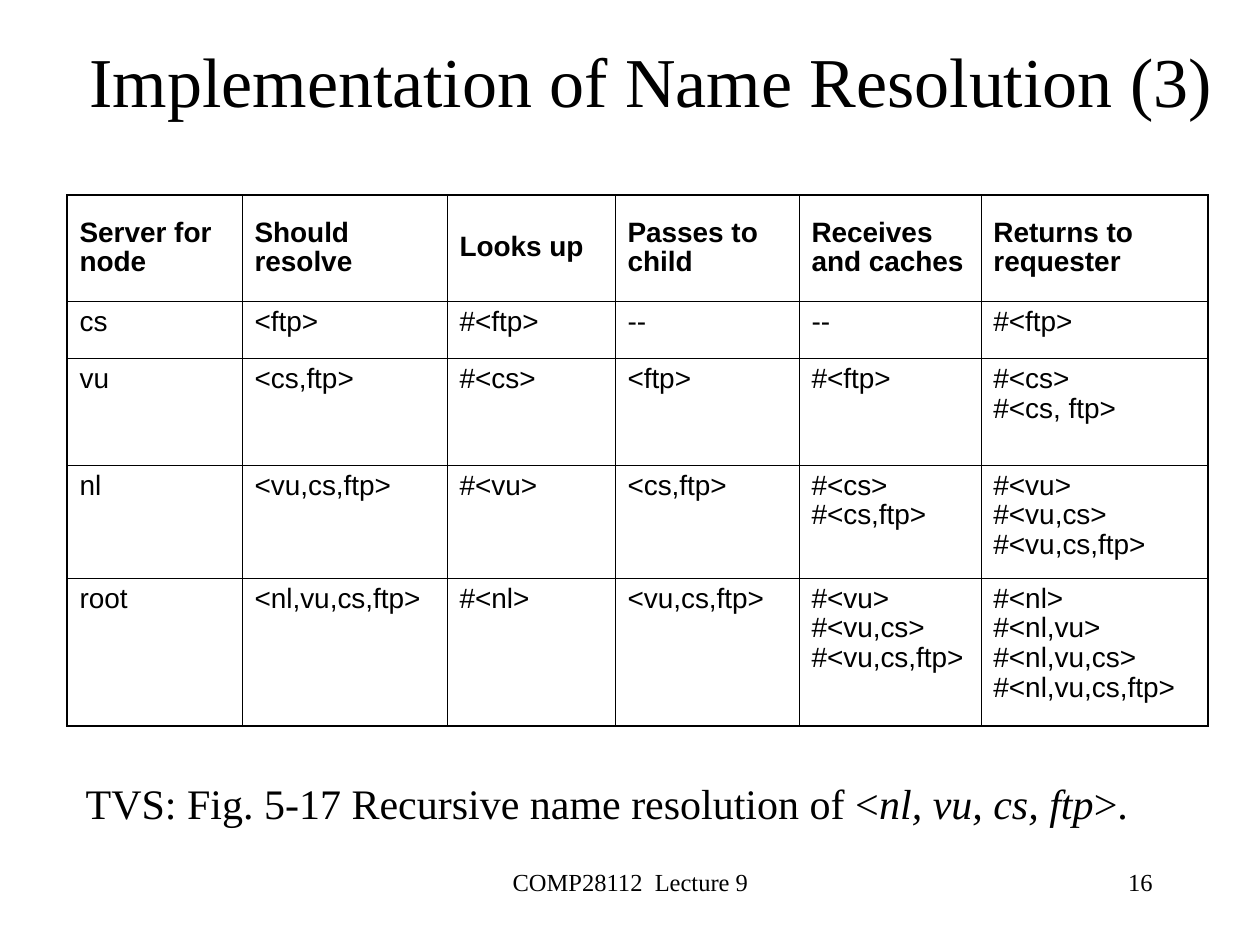
from lxml import etree
from pptx import Presentation
from pptx.dml.color import RGBColor
from pptx.enum.text import MSO_ANCHOR, MSO_AUTO_SIZE, PP_ALIGN
from pptx.oxml.ns import qn
from pptx.util import Pt

PX = 914400 // 126
BLACK = RGBColor(0, 0, 0)
SERIF, SANS = "Times New Roman", "Arial"
LEFT, CENTER, RIGHT = PP_ALIGN.LEFT, PP_ALIGN.CENTER, PP_ALIGN.RIGHT
TOP, MIDDLE = MSO_ANCHOR.TOP, MSO_ANCHOR.MIDDLE
NO_AUTOFIT = MSO_AUTO_SIZE.NONE
OUTER, INNER = Pt(1.08), Pt(0.45)


def add_run(paragraph, text, size, font=SERIF, bold=False, italic=False):
    """Add one black run to a paragraph."""
    run = paragraph.add_run()
    run.text = text
    run.font.size = Pt(size)
    run.font.name = font
    run.font.bold = bold
    run.font.italic = italic
    run.font.color.rgb = BLACK


def add_border(cell, side, width):
    """Draw one solid edge (L, R, T or B) of a table cell."""
    line = etree.SubElement(cell._tc.get_or_add_tcPr(), qn("a:ln" + side), w=str(int(width)))
    fill = etree.SubElement(line, qn("a:solidFill"))
    etree.SubElement(fill, qn("a:srgbClr"), val=str(BLACK))


prs = Presentation()
prs.slide_width, prs.slide_height = 1260 * PX, 945 * PX
slide = prs.slides.add_slide(prs.slide_layouts[1])

# Title and caption
title, caption = slide.placeholders
for holder, box, anchor in [
    (title, (42, 0, 1218, 158), MIDDLE),
    (caption, (73, 771, 1077, 116), TOP),
]:
    holder.left, holder.top, holder.width, holder.height = [n * PX for n in box]
    holder.text_frame.auto_size = NO_AUTOFIT
    holder.text_frame.vertical_anchor = anchor

heading = title.text_frame.paragraphs[0]
heading.alignment = CENTER
add_run(heading, "Implementation of Name Resolution (3)", 40)

figure = caption.text_frame.paragraphs[0]
figure.alignment = LEFT
figure.space_before = Pt(6)
figure_format = figure._p.get_or_add_pPr()
figure_format.set("marL", str(48 * PX))
figure_format.set("indent", str(-48 * PX))
etree.SubElement(figure_format, qn("a:buNone"))
add_run(figure, "TVS: Fig. 5-17 Recursive name resolution of <", 24)
add_run(figure, "nl, vu, cs, ftp", 24, italic=True)
add_run(figure, ">.", 24)

# Footer
for text, left, width, alignment in [
    ("COMP28112  Lecture 9", 431, 399, CENTER),
    ("16", 903, 262, RIGHT),
]:
    footer = slide.shapes.add_textbox(left * PX, 861 * PX, width * PX, 63 * PX).text_frame
    footer.word_wrap = True
    footer.paragraphs[0].alignment = alignment
    add_run(footer.paragraphs[0], text, 14)

# Name resolution table
column_widths = [175, 205, 168, 184, 182, 227]
row_heights = [106, 57, 107, 113, 148]
records = [
    ["Server for node", "Should resolve", "Looks up", "Passes to child",
     "Receives and caches", "Returns to requester"],
    ["cs", "<ftp>", "#<ftp>", "--", "--", "#<ftp>"],
    ["vu", "<cs,ftp>", "#<cs>", "<ftp>", "#<ftp>", "#<cs>\n#<cs, ftp>"],
    ["nl", "<vu,cs,ftp>", "#<vu>", "<cs,ftp>", "#<cs>\n#<cs,ftp>",
     "#<vu>\n#<vu,cs>\n#<vu,cs,ftp>"],
    ["root", "<nl,vu,cs,ftp>", "#<nl>", "<vu,cs,ftp>", "#<vu>\n#<vu,cs>\n#<vu,cs,ftp>",
     "#<nl>\n#<nl,vu>\n#<nl,vu,cs>\n#<nl,vu,cs,ftp>"],
]
last_row, last_column = len(records) - 1, len(column_widths) - 1
servers = slide.shapes.add_table(
    len(records), len(column_widths), 67 * PX, 195 * PX,
    sum(column_widths) * PX, sum(row_heights) * PX).table
servers.first_row = servers.horz_banding = False
for column, width in zip(servers.columns, column_widths):
    column.width = width * PX
for row, height in zip(servers.rows, row_heights):
    row.height = height * PX

for r, record in enumerate(records):
    for c, entry in enumerate(record):
        cell = servers.cell(r, c)
        for side, on_edge in [("L", c == 0), ("R", c == last_column),
                              ("T", r == 0), ("B", r == last_row)]:
            add_border(cell, side, OUTER if on_edge else INNER)
        cell.fill.background()
        cell.vertical_anchor = MIDDLE if r == 0 else TOP
        paragraph = cell.text_frame.paragraphs[0]
        paragraph.space_before = Pt(4)
        paragraph.line_spacing = 0.96
        for i, line in enumerate(entry.split("\n")):
            if i:
                paragraph.add_line_break()
            add_run(paragraph, line, 16, SANS, bold=r == 0)

prs.save("out.pptx")
